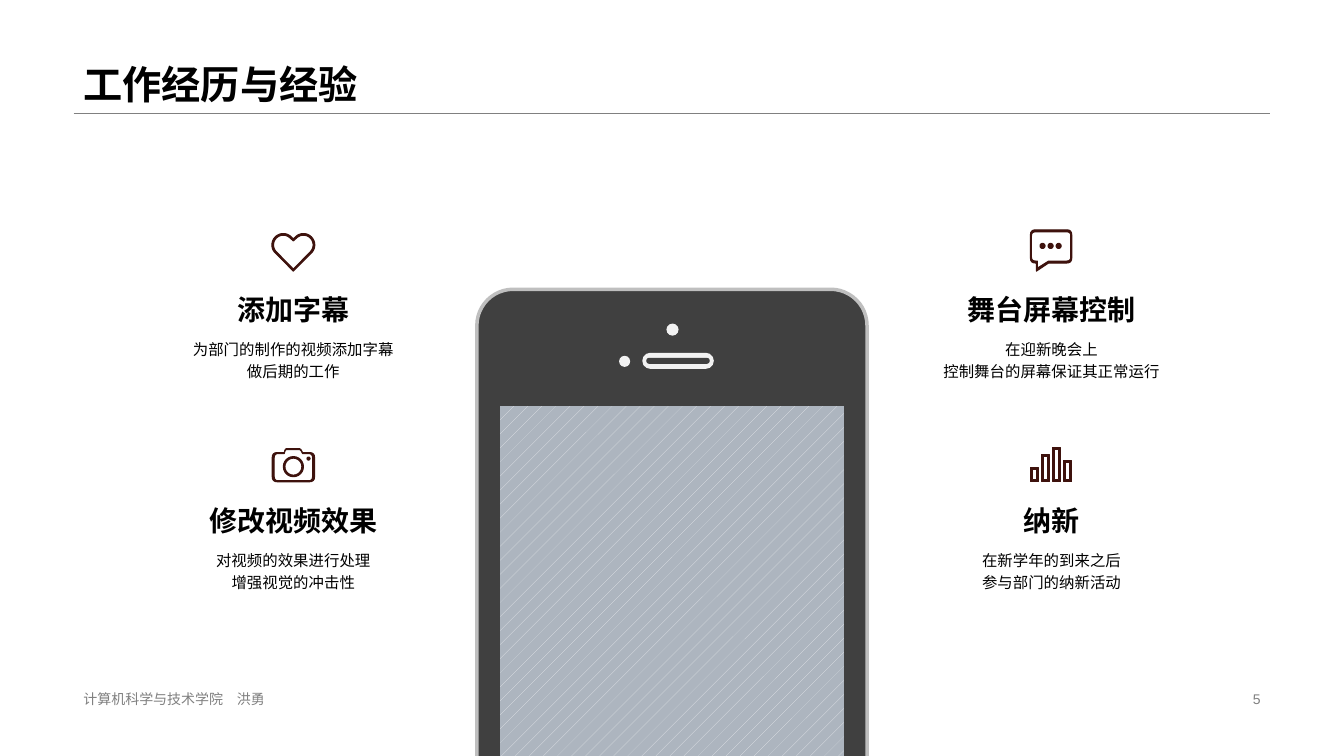
from dataclasses import dataclass
from math import cos, radians, sin

from lxml.etree import SubElement
from pptx import Presentation
from pptx.dml.color import RGBColor
from pptx.enum.dml import MSO_PATTERN
from pptx.enum.lang import MSO_LANGUAGE_ID
from pptx.enum.shapes import MSO_CONNECTOR, MSO_SHAPE
from pptx.enum.text import MSO_ANCHOR, PP_ALIGN
from pptx.oxml.ns import qn
from pptx.util import Pt

EMU_PER_PX = 9144


def px(n):
    return round(n * EMU_PER_PX)


@dataclass(frozen=True)
class Theme:
    font: str = "Arial"
    ink: str = "000000"
    muted: str = "808080"
    icon: str = "3E120D"
    body: str = "404040"
    rim: str = "BFBFBF"
    detail: str = "F2F2F2"
    screen: str = "ADB5BF"
    hatch: str = "E4E6EA"
    title_size: int = 28
    heading_size: int = 20
    text_size: int = 11
    footer_size: int = 10


# Contours for the icons, as lists of points in px
def arc(cx, cy, radius, start=0, end=360):
    angles = [radians(start + (end - start) * i / 24) for i in range(25)]
    return [(cx + radius * cos(a), cy + radius * sin(a)) for a in angles]


def rounded(corners):
    """Polygon from (x, y, radius) corners, each softened by a quadratic curve."""
    points = []
    for i, (x, y, radius) in enumerate(corners):
        if not radius:
            points.append((x, y))
            continue
        ends = []
        for nx, ny, _ in (corners[i - 1], corners[(i + 1) % len(corners)]):
            part = radius / ((nx - x) ** 2 + (ny - y) ** 2) ** 0.5
            ends.append((x + (nx - x) * part, y + (ny - y) * part))
        (ax, ay), (bx, by) = ends
        for t in (0, 0.25, 0.5, 0.75, 1):
            u = 1 - t
            points.append((u * u * ax + 2 * u * t * x + t * t * bx,
                           u * u * ay + 2 * u * t * y + t * t * by))
    return points


def box(left, top, right, bottom):
    return [(left, top), (right, top), (right, bottom), (left, bottom)]


def heart(radius, notch, tip):
    return [(291, tip), *arc(281, 243, radius, 135, 315), (291, notch),
            *arc(301, 243, radius, 225, 405)]


def camera_body(left, top, right, bottom, hump, radius):
    return rounded([(left, top, radius), (282, top, 0), (283, hump, 2),
                    (298, hump, 2), (300, top, 0), (right, top, radius),
                    (right, bottom, radius), (left, bottom, radius)])


def bubble(left, top, right, bottom, tail, tip, radius):
    return rounded([(left, top, radius), (right, top, radius),
                    (right, bottom, radius), (1040, bottom, 0), (tail, tip, 0),
                    (tail, bottom, 0), (left, bottom, radius)])


HEART = [heart(11.3, 237, 269), heart(9.6, 239, 267)]
CAMERA = [camera_body(270, 449, 312, 478, 445, 5),
          camera_body(272, 450, 310, 477, 446, 4),
          arc(291, 463, 10), arc(291, 463, 8.4), arc(306, 455, 1.5)]
BUBBLE = [bubble(1022, 228, 1063, 261, 1028, 269, 5),
          bubble(1023, 230, 1062, 259, 1029, 266, 4),
          *(arc(x, 244, 2.5) for x in (1034, 1042, 1050))]
BARS = [box(1022 + 11 * i + inset, top + inset, 1030 + 11 * i - inset, 478 - inset)
        for i, top in enumerate((464, 451, 444, 457)) for inset in (0, 2)]


class SlideMaker:
    def __init__(self, slide, theme):
        self.shapes = slide.shapes
        self.theme = theme

    def paint(self, sp, fill, line=None, weight=0):
        sp.shadow.inherit = False
        sp.fill.solid()
        sp.fill.fore_color.rgb = RGBColor.from_string(fill)
        if line:
            sp.line.color.rgb = RGBColor.from_string(line)
            sp.line.width = Pt(weight)
        else:
            sp.line.fill.background()
        return sp

    def shape(self, kind, at, fill, line=None, weight=0, radius=None):
        sp = self.shapes.add_shape(kind, *map(px, at))
        if radius is not None:
            sp.adjustments[0] = radius / min(at[2:])
        return self.paint(sp, fill, line, weight)

    def icon(self, contours):
        builder = None
        for contour in contours:
            start, *rest = [(px(x), px(y)) for x, y in contour]
            if builder is None:
                builder = self.shapes.build_freeform(*start)
            else:
                builder.move_to(*start)
            builder.add_line_segments(rest, close=True)
        self.paint(builder.convert_to_shape(), self.theme.icon, self.theme.icon, 0.75)

    def rule(self, x1, y1, x2, y2):
        line = self.shapes.add_connector(MSO_CONNECTOR.STRAIGHT, *map(px, (x1, y1, x2, y2)))
        line.line.color.rgb = RGBColor.from_string(self.theme.muted)
        line.line.width = Pt(0.25)
        SubElement(line._element.spPr, qn("a:effectLst"))

    def text(self, at, lines, size, color=None, bold=False, align=PP_ALIGN.LEFT,
             anchor=MSO_ANCHOR.TOP, spacing=1.0):
        tf = self.shapes.add_textbox(*map(px, at)).text_frame
        tf.word_wrap = True
        tf.vertical_anchor = anchor
        for i, line in enumerate(lines):
            p = tf.add_paragraph() if i else tf.paragraphs[0]
            p.alignment = align
            p.line_spacing = spacing
            r = p.add_run()
            r.text = line
            r.font.name = self.theme.font
            r.font.size = Pt(size)
            r.font.bold = bold
            r.font.language_id = MSO_LANGUAGE_ID.SIMPLIFIED_CHINESE
            r.font.color.rgb = RGBColor.from_string(color or self.theme.ink)
            SubElement(r.font._element, qn("a:ea"), typeface=self.theme.font)

    def feature(self, x, y, icon, heading, lines):
        self.icon(icon)
        self.text((x, y, 266, 42), [heading], self.theme.heading_size, bold=True,
                  align=PP_ALIGN.CENTER, anchor=MSO_ANCHOR.BOTTOM, spacing=0.9)
        self.text((x, y + 42, 266, 56), lines, self.theme.text_size,
                  align=PP_ALIGN.CENTER, spacing=1.2)

    def phone(self):
        t = self.theme
        pill, oval = MSO_SHAPE.ROUNDED_RECTANGLE, MSO_SHAPE.OVAL
        self.shape(pill, (473, 287, 387, 814), t.body, t.rim, 2.5, radius=36)
        self.shape(oval, (661, 321, 12, 12), t.detail)
        self.shape(pill, (637, 350, 71, 16), t.detail, radius=8)
        self.shape(pill, (641, 355, 63, 6), t.body, radius=3)
        self.shape(oval, (614, 353, 11, 11), t.detail)
        screen = self.shape(MSO_SHAPE.RECTANGLE, (496, 403, 341, 347), t.screen)
        screen.fill.patterned()
        screen.fill.pattern = MSO_PATTERN.PERCENT_5
        screen.fill.fore_color.rgb = RGBColor.from_string(t.hatch)
        screen.fill.back_color.rgb = RGBColor.from_string(t.screen)


def main():
    prs = Presentation()
    prs.slide_width, prs.slide_height = px(1333), px(750)
    theme = Theme()
    s = SlideMaker(prs.slides.add_slide(prs.slide_layouts[6]), theme)

    # Title and footer
    s.rule(73, 112, 1260, 112)
    s.text((73, 0, 1187, 112), ["工作经历与经验"], theme.title_size, bold=True,
           anchor=MSO_ANCHOR.BOTTOM, spacing=0.9)
    s.text((73, 682, 453, 23), ["计算机科学与技术学院　洪勇"], theme.footer_size,
           theme.muted, anchor=MSO_ANCHOR.MIDDLE)
    s.text((942, 682, 318, 23), ["5"], theme.footer_size, theme.muted,
           align=PP_ALIGN.RIGHT, anchor=MSO_ANCHOR.MIDDLE)

    # Phone in the middle
    s.phone()

    # Four experiences around the phone
    left, right, upper, lower = 158, 910, 287, 496
    s.feature(left, upper, HEART, "添加字幕", ["为部门的制作的视频添加字幕", "做后期的工作"])
    s.feature(left, lower, CAMERA, "修改视频效果", ["对视频的效果进行处理", "增强视觉的冲击性"])
    s.feature(right, upper, BUBBLE, "舞台屏幕控制", ["在迎新晚会上", "控制舞台的屏幕保证其正常运行"])
    s.feature(right, lower, BARS, "纳新", ["在新学年的到来之后", "参与部门的纳新活动"])

    prs.save("out.pptx")


if __name__ == "__main__":
    main()
